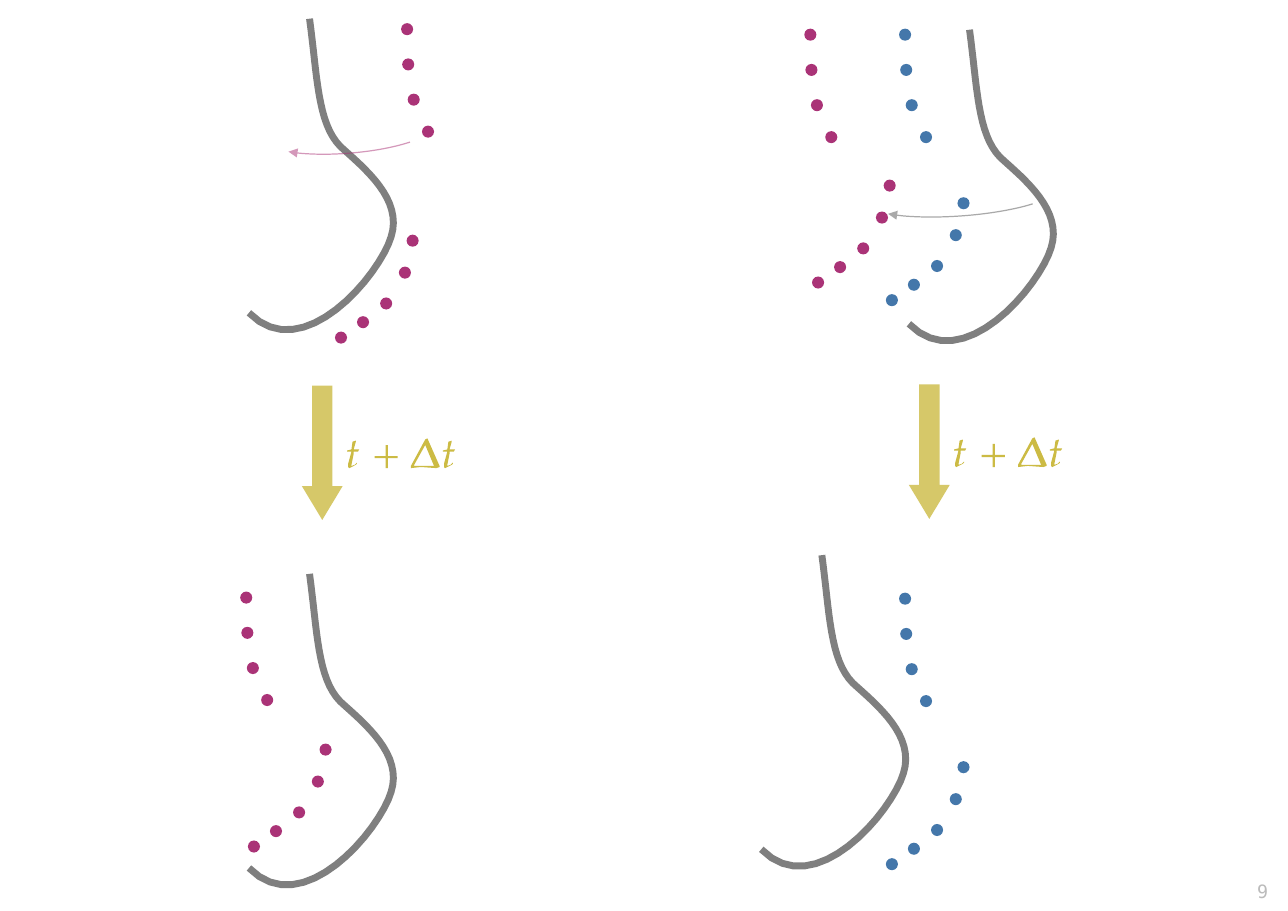
from lxml import etree
from pptx import Presentation
from pptx.dml.color import RGBColor
from pptx.enum.shapes import MSO_SHAPE
from pptx.enum.text import MSO_ANCHOR, PP_ALIGN
from pptx.oxml.ns import qn
from pptx.util import Emu, Pt

ELLIPSE = MSO_SHAPE.OVAL
DOWN_ARROW = MSO_SHAPE.DOWN_ARROW
ARC = MSO_SHAPE.ARC
TOP = MSO_ANCHOR.TOP
RIGHT = PP_ALIGN.RIGHT

PX = 9144
WIDTH, HEIGHT = 1169, 827
PURPLE, BLUE, GREY, YELLOW, PALE = "AA3377", "4477AA", "555555", "CCBB44", "BBBBBB"
BODY_FONT = "DejaVu Sans Mono"

DOT_SIZE = 11
UPPER_DOTS = [(0, 0), (1, 32), (6, 64), (19, 93)]
LOWER_DOTS = [(0, 0), (-7, 29), (-24, 57), (-45, 74), (-65, 88)]
PROFILE = [
    (0, 0), (7, 51), (7, 95), (28, 116), (50, 136),
    (85, 164), (74, 198), (64, 232), (-6, 317), (-55, 267),
]
CURVE_STEPS = 16

LETTER_T = [[
    (9, 21), (9, 20), (7, 22), (4, 23), (4, 22), (6, 12), (6, 10),
    (10, 10), (11, 8), (6, 8), (8, 1), (8, 0), (5, 1), (4, 8), (0, 9),
    (0, 10), (4, 10), (1, 21), (1, 24), (2, 25), (8, 22),
]]
PLUS = [[
    (21, 12), (21, 10), (12, 10), (12, 0), (10, 0), (10, 10),
    (0, 10), (0, 12), (10, 12), (10, 21), (12, 21), (12, 12),
]]
DELTA = [
    [(13, 1), (0, 25), (0, 27), (9, 26), (23, 27), (26, 26), (26, 25), (15, 0)],
    [(21, 25), (3, 25), (3, 24), (13, 6)],
]
FORMULA = [(LETTER_T, 0, 0), (PLUS, 25, 4), (DELTA, 58, -2), (LETTER_T, 87, 0)]


def emu(length):
    return Emu(round(length * PX))


def color(value):
    return RGBColor.from_string(value)


def bezier_points(controls, steps):
    points = [controls[0]]
    for first in range(0, len(controls) - 1, 3):
        segment = controls[first:first + 4]
        for step in range(1, steps + 1):
            t = step / steps
            weights = ((1 - t) ** 3, 3 * t * (1 - t) ** 2, 3 * t * t * (1 - t), t ** 3)
            points.append(tuple(
                sum(weight * point[axis] for weight, point in zip(weights, segment))
                for axis in (0, 1)
            ))
    return points


class Drawing:
    """Draws styled profiles, dots, arrows and text on one slide."""

    def __init__(self, slide):
        self.slide = slide

    def paint(self, fill, value, opacity=100):
        fill.solid()
        fill.fore_color.rgb = color(value)
        if opacity < 100:
            tint = fill._xPr.find(qn("a:solidFill"))[0]
            etree.SubElement(tint, qn("a:alpha")).set("val", str(opacity * 1000))

    def stroke(self, shape, value, width, opacity):
        shape.shadow.inherit = False
        shape.fill.background()
        self.paint(shape.line.fill, value, opacity)
        shape.line.width = Pt(width)

    def flat(self, shape, value, opacity=100):
        shape.shadow.inherit = False
        shape.line.fill.background()
        self.paint(shape.fill, value, opacity)

    def solid(self, kind, left, top, width, height, value, opacity=100):
        shape = self.slide.shapes.add_shape(
            kind, emu(left), emu(top), emu(width), emu(height))
        self.flat(shape, value, opacity)
        return shape

    def outline(self, left, top, contours, close):
        placed = [[(emu(left + x), emu(top + y)) for x, y in contour]
                  for contour in contours]
        builder = self.slide.shapes.build_freeform(*placed[0][0], scale=1.0)
        for index, points in enumerate(placed):
            if index:
                builder.move_to(*points[0])
            builder.add_line_segments(points[1:], close=close)
        return builder.convert_to_shape()

    def profile(self, left, top):
        curve = bezier_points(PROFILE, CURVE_STEPS)
        self.stroke(self.outline(left, top, [curve], False), GREY, 4.5, 75)

    def dots(self, upper, lower, value):
        for (left, top), offsets in ((upper, UPPER_DOTS), (lower, LOWER_DOTS)):
            for x, y in offsets:
                self.solid(ELLIPSE, left + x, top + y, DOT_SIZE, DOT_SIZE, value)

    def motion_arc(self, left, top, width, height, rotation, angles, value):
        shape = self.slide.shapes.add_shape(
            ARC, emu(left), emu(top), emu(width), emu(height))
        shape.adjustments[0], shape.adjustments[1] = angles
        shape.rotation = rotation
        self.stroke(shape, value, 0.79, 50)
        line = shape.line._get_or_add_ln()
        etree.SubElement(line, qn("a:tailEnd")).set("type", "triangle")

    def text(self, left, top, width, height, words, *, size, value, font, align):
        box = self.slide.shapes.add_textbox(
            emu(left), emu(top), emu(width), emu(height))
        frame = box.text_frame
        frame.word_wrap = False
        frame.vertical_anchor = TOP
        paragraph = frame.paragraphs[0]
        paragraph.alignment = align
        run = paragraph.add_run()
        run.text = words
        run.font.name = font
        run.font.size = Pt(size)
        run.font.color.rgb = color(value)

    def time_step(self, left, top):
        arrow = self.solid(DOWN_ARROW, left, top, 37, 122, YELLOW, 80)
        arrow.adjustments[0], arrow.adjustments[1] = 0.5, 0.83
        for glyph, x, y in FORMULA:
            self.flat(self.outline(left + 41 + x, top + 50 + y, glyph, True), YELLOW)


def main():
    presentation = Presentation()
    presentation.slide_width = emu(WIDTH)
    presentation.slide_height = emu(HEIGHT)
    drawing = Drawing(presentation.slides.add_slide(presentation.slide_layouts[6]))

    drawing.text(1061, 794, 100, 29, "9",
                 size=12, value=PALE, font=BODY_FONT, align=RIGHT)

    drawing.profile(281, 17)
    drawing.dots((364, 21), (369, 213), PURPLE)
    drawing.profile(281, 521)
    drawing.dots((218, 537), (290, 675), PURPLE)
    drawing.time_step(274, 350)

    drawing.profile(880, 27)
    drawing.dots((816, 26), (869, 179), BLUE)
    drawing.dots((730, 26), (802, 163), PURPLE)
    drawing.profile(746, 504)
    drawing.dots((816, 538), (869, 691), BLUE)
    drawing.time_step(825, 349)

    drawing.motion_arc(241, 102, 153, 37, 355.1, (8.25, 100.64), PURPLE)
    drawing.motion_arc(786, 159, 173, 37, 355.7, (6.57, 102.15), GREY)

    presentation.save("out.pptx")


if __name__ == "__main__":
    main()
